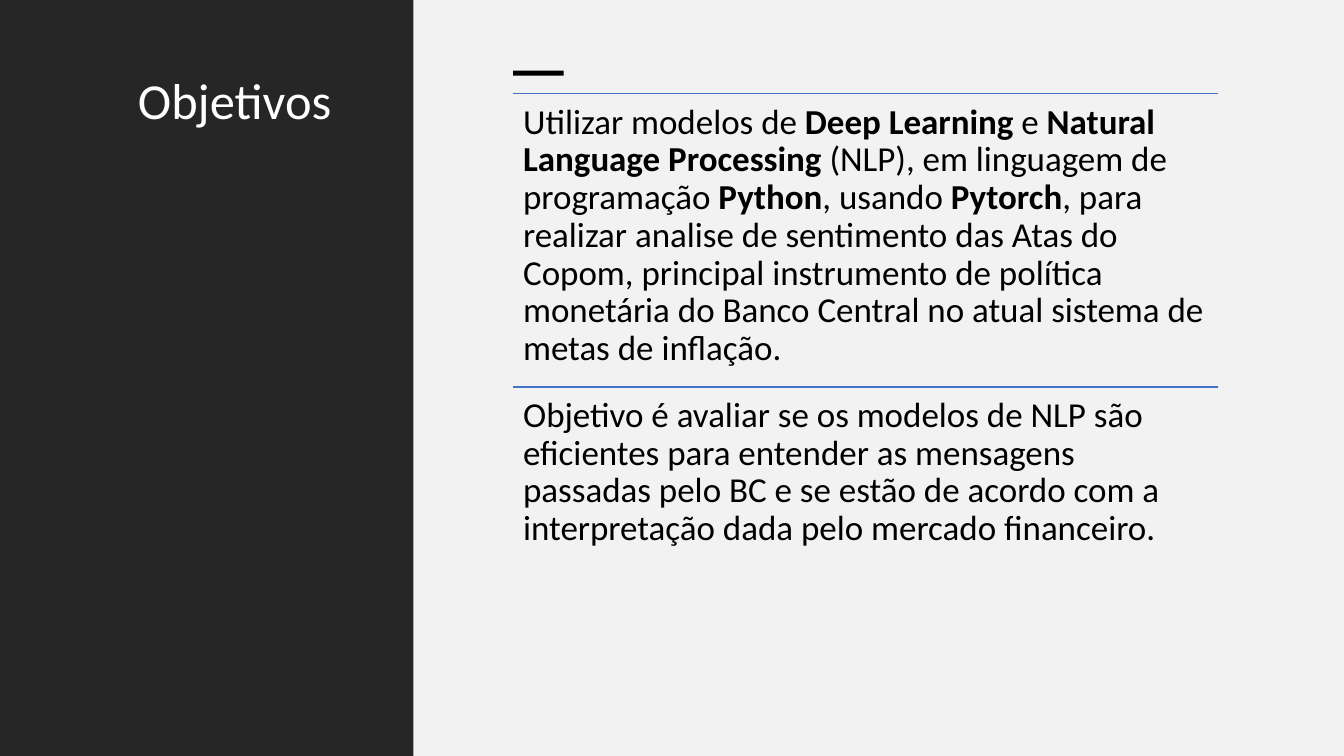
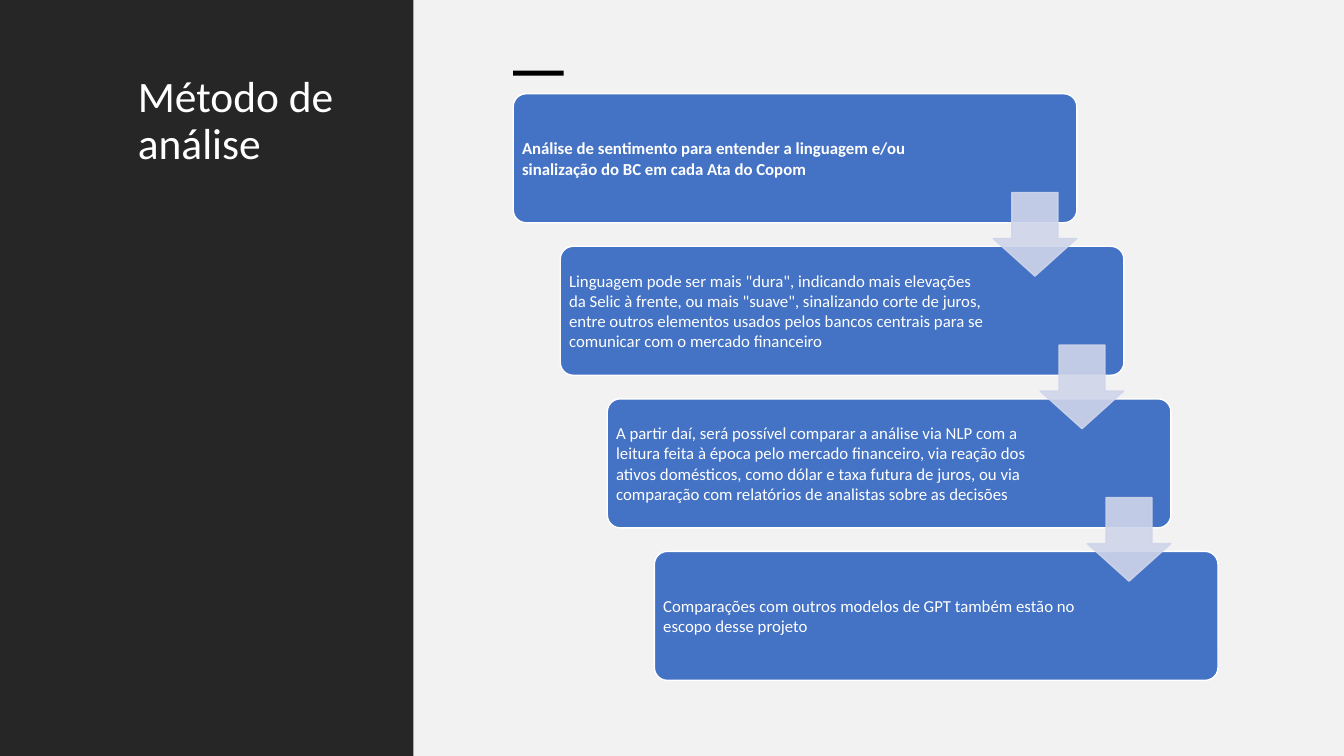
from dataclasses import dataclass

import pptx
import pptx.presentation
import pptx.util
from pptx.dml.color import RGBColor
from pptx.enum.shapes import MSO_CONNECTOR, MSO_SHAPE
from pptx.enum.text import MSO_ANCHOR, PP_ALIGN
from pptx.oxml.ns import qn
from pptx.shapes.autoshape import Shape
from pptx.slide import Slide
from pptx.text.text import TextFrame
from pptx.util import Inches
import lxml.etree

FONT = "Calibri"
COLORS = {
    "page": "F2F2F2",
    "band": "262626",
    "ink": "000000",
    "white": "FFFFFF",
    "blue": "4472C4",
    "arrow": "CFD5EA",
}
LEFT, TOP, WIDTH = 5.09, 0.93, 6.99


@dataclass
class Box:
    x: float
    y: float
    w: float
    h: float

    def lengths(self) -> tuple:
        return tuple(Inches(n) for n in (self.x, self.y, self.w, self.h))


@dataclass
class Style:
    size: float
    color: str
    space: float = 1.0


@dataclass
class Goal:
    """A goal as a list of (text, bold) pieces."""
    bits: list[tuple[str, bool]]


@dataclass
class Step:
    text: str
    bold: bool = False


GOALS = [
    Goal([
        ("Utilizar modelos de ", False),
        ("Deep Learning ", True),
        ("e ", False),
        ("Natural Language Processing", True),
        (" (NLP), em linguagem de programação ", False),
        ("Python", True),
        (", usando ", False),
        ("Pytorch", True),
        (", para realizar analise de sentimento das Atas do Copom, principal "
         "instrumento de política monetária do Banco Central no atual sistema "
         "de metas de inflação.", False),
    ]),
    Goal([
        ("Objetivo é avaliar se os modelos de NLP são eficientes para entender "
         "as mensagens passadas pelo BC e se estão de acordo com a "
         "interpretação dada pelo mercado financeiro.", False),
    ]),
]

STEPS = [
    Step("Análise de sentimento para entender a linguagem e/ou sinalização do "
         "BC em cada Ata do Copom", True),
    Step('Linguagem pode ser mais "dura", indicando mais elevações da Selic à '
         'frente, ou mais "suave", sinalizando corte de juros, entre outros '
         "elementos usados pelos bancos centrais para se comunicar com o "
         "mercado financeiro"),
    Step("A partir daí, será possível comparar a análise via NLP com a leitura "
         "feita à época pelo mercado financeiro, via reação dos ativos "
         "domésticos, como dólar e taxa futura de juros, ou via comparação com "
         "relatórios de analistas sobre as decisões"),
    Step("Comparações com outros modelos de GPT também estão no escopo desse "
         "projeto"),
]


def rgb(name: str) -> RGBColor:
    return RGBColor.from_string(COLORS[name])


def draw(slide: Slide, kind: MSO_SHAPE, box: Box, fill: str,
         line: str | None = None) -> Shape:
    shape = slide.shapes.add_shape(kind, *box.lengths())
    shape.shadow.inherit = False
    shape.fill.solid()
    shape.fill.fore_color.rgb = rgb(fill)
    if line:
        shape.line.color.rgb = rgb(line)
        shape.line.width = pptx.util.Pt(1)
    else:
        shape.line.fill.background()
    return shape


def fade(shape: Shape, percent: int) -> None:
    """Set the opacity of the fill and the line."""
    for color in shape._element.spPr.iter(qn("a:srgbClr")):
        alpha = lxml.etree.SubElement(color, qn("a:alpha"))
        alpha.set("val", str(percent * 1000))


def inset(frame: TextFrame, left: float, top: float, right: float,
          low: float) -> None:
    frame.margin_left, frame.margin_top = Inches(left), Inches(top)
    frame.margin_right, frame.margin_bottom = Inches(right), Inches(low)


def write(frame: TextFrame, bits: list[tuple[str, bool]],
          style: Style) -> None:
    frame.word_wrap = True
    para = frame.paragraphs[0]
    para.alignment = PP_ALIGN.LEFT
    para.line_spacing = style.space
    for text, bold in bits:
        run = para.add_run()
        run.text = text
        run.font.name = FONT
        run.font.size = pptx.util.Pt(style.size)
        run.font.bold = bold
        run.font.color.rgb = rgb(style.color)


def start(deck: pptx.presentation.Presentation, title: str,
          size: float) -> Slide:
    """Add a slide with the shared band, title and accent."""
    slide = deck.slides.add_slide(deck.slide_layouts[6])
    draw(slide, MSO_SHAPE.RECTANGLE, Box(4.09, 0, 9.24, 7.5), "page")
    draw(slide, MSO_SHAPE.RECTANGLE, Box(0, 0, 4.1, 7.5), "band")
    label = slide.shapes.add_textbox(*Box(1.27, 0.7, 2.4, 6.1).lengths())
    write(label.text_frame, [(title, False)], Style(size, "white", 0.9))
    draw(slide, MSO_SHAPE.RECTANGLE, Box(LEFT, 0.7, 0.5, 0.05), "ink")
    return slide


def rule(slide: Slide, y: float) -> None:
    line = slide.shapes.add_connector(
        MSO_CONNECTOR.STRAIGHT, Inches(LEFT), Inches(y),
        Inches(LEFT + WIDTH), Inches(y))
    line.line.color.rgb = rgb("blue")
    line.line.width = pptx.util.Pt(1)
    lxml.etree.SubElement(line._element.spPr, qn("a:effectLst"))


def goals(slide: Slide) -> None:
    high = 2.91
    for i, goal in enumerate(GOALS):
        y = TOP + i * high
        rule(slide, y)
        body = slide.shapes.add_textbox(*Box(LEFT, y, WIDTH, high).lengths())
        inset(body.text_frame, 0.1, 0.1, 0.1, 0.1)
        write(body.text_frame, goal.bits, Style(25, "ink", 0.9))


def steps(slide: Slide) -> None:
    """Draw the stair of cards, then the arrows that join them."""
    wide, high, side = 5.59, 1.28, 0.83
    last = len(STEPS) - 1
    dx = (WIDTH - wide) / last
    dy = 4.54 / last
    spots = [(LEFT + i * dx, TOP + i * dy) for i in range(len(STEPS))]
    for step, (x, y) in zip(STEPS, spots):
        card = draw(slide, MSO_SHAPE.ROUNDED_RECTANGLE,
                    Box(x, y, wide, high), "blue", "white")
        card.adjustments[0] = 0.1
        frame = card.text_frame
        frame.vertical_anchor = MSO_ANCHOR.MIDDLE
        inset(frame, 0.05, 0.05, 1.35, 0.05)
        write(frame, [(step.text, step.bold)], Style(12, "white"))
    for x, y in spots[:-1]:
        arrow = draw(slide, MSO_SHAPE.DOWN_ARROW,
                     Box(x + wide - side, y + 0.98, side, side),
                     "arrow", "arrow")
        arrow.adjustments[0] = 0.55
        arrow.adjustments[1] = 0.45
        fade(arrow, 90)


def main() -> None:
    deck = pptx.Presentation()
    deck.slide_width, deck.slide_height = Inches(13.33), Inches(7.5)
    goals(start(deck, "Objetivos", 36))
    steps(start(deck, "Método de análise", 31))
    deck.save("out.pptx")


if __name__ == "__main__":
    main()
